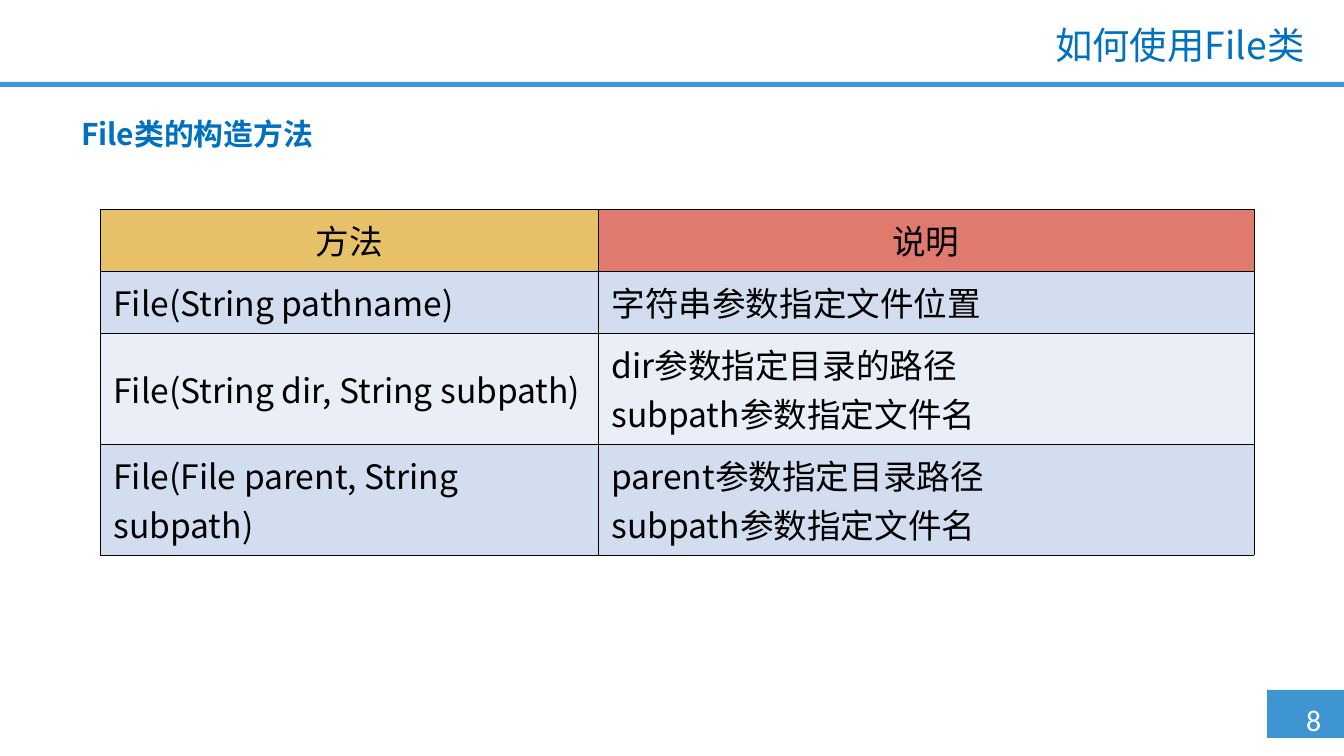
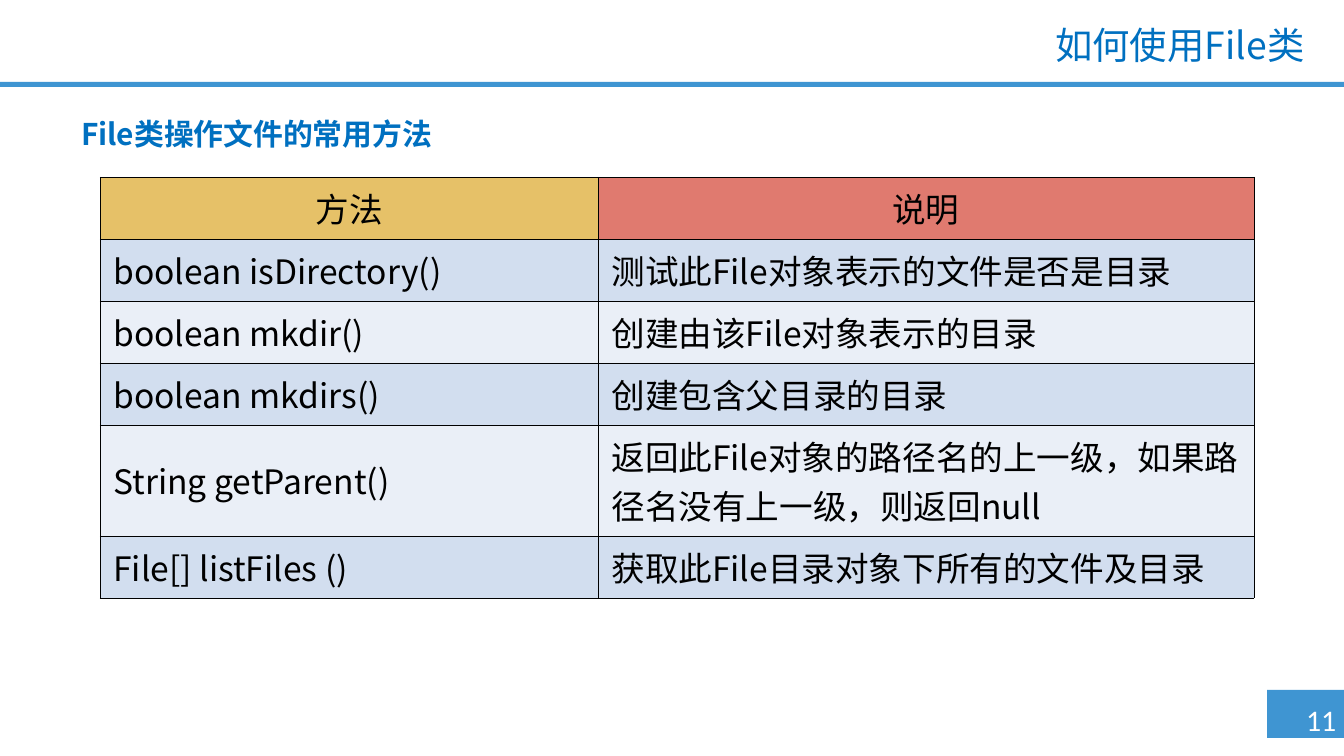
from lxml.etree import SubElement
from pptx import Presentation
from pptx.dml.color import RGBColor
from pptx.enum.shapes import MSO_SHAPE
from pptx.enum.text import MSO_ANCHOR, MSO_AUTO_SIZE, PP_ALIGN
from pptx.oxml.ns import qn
from pptx.util import Emu, Pt

EMU_PER_PX = 914400 / 134.4
WIDTH, HEIGHT = 1344, 756

WHITE = RGBColor(0xFF, 0xFF, 0xFF)
BLACK = RGBColor(0x00, 0x00, 0x00)
BAND_BLUE = RGBColor(0x3F, 0x95, 0xD2)
TITLE_BLUE = RGBColor(0x00, 0x70, 0xC0)
HEADER_FILLS = (RGBColor(0xE6, 0xC1, 0x68), RGBColor(0xE0, 0x7A, 0x6F))
ROW_FILLS = (RGBColor(0xD2, 0xDE, 0xEF), RGBColor(0xEA, 0xEF, 0xF7))

CJK_FONT = "Noto Sans CJK SC"
TITLE_RUNS = (("如何使用File", CJK_FONT), ("类", "Arial"))
HEADERS = ("方法", "说明")
COLUMN_WIDTHS = (498, 656)
ONE_LINE, TWO_LINES = 62, 111

TITLE_BOX = (323, 20, 995, 55)
RULE_BOX = (0, 82, WIDTH, 5)
HEADING_BOX = (68, 113, 1101, 52)
NUMBER_BOX = (1267, 690, 77, 48)
TABLE_LEFT = 100

SLIDES = (
    {
        "number": "8",
        "heading": "File类的构造方法",
        "table_top": 209,
        "rows": (
            ("File(String pathname)", ("字符串参数指定文件位置",), ONE_LINE),
            ("File(String dir, String subpath)",
             ("dir参数指定目录的路径", "subpath参数指定文件名"), TWO_LINES),
            ("File(File parent, String subpath)",
             ("parent参数指定目录路径", "subpath参数指定文件名"), TWO_LINES),
        ),
    },
    {
        "number": "11",
        "heading": "File类操作文件的常用方法",
        "table_top": 177,
        "rows": (
            ("boolean isDirectory()", ("测试此File对象表示的文件是否是目录",), ONE_LINE),
            ("boolean mkdir()", ("创建由该File对象表示的目录",), ONE_LINE),
            ("boolean mkdirs()", ("创建包含父目录的目录",), ONE_LINE),
            ("String getParent()",
             ("返回此File对象的路径名的上一级，如果路径名没有上一级，则返回null",), TWO_LINES),
            ("File[] listFiles ()", ("获取此File目录对象下所有的文件及目录",), ONE_LINE),
        ),
    },
)


def px(length):
    """Turn pixels into EMU."""
    return Emu(round(length * EMU_PER_PX))


def add_run(paragraph, text, size, color, font=CJK_FONT, bold=False):
    """Add one formatted run with Latin and East Asian fonts."""
    run = paragraph.add_run()
    run.text = text
    run.font.size = Pt(size)
    run.font.bold = bold
    run.font.color.rgb = color
    run.font.name = font
    east_asian = SubElement(run.font._element, qn("a:ea"))
    east_asian.set("typeface", CJK_FONT)


def add_block(slide, box):
    """Add a plain blue rectangle."""
    shape = slide.shapes.add_shape(MSO_SHAPE.RECTANGLE, *map(px, box))
    shape.shadow.inherit = False
    shape.fill.solid()
    shape.fill.fore_color.rgb = BAND_BLUE
    shape.line.fill.background()


def add_text_box(slide, box):
    """Add a wrapping text box and return its frame."""
    frame = slide.shapes.add_textbox(*map(px, box)).text_frame
    frame.word_wrap = True
    return frame


def add_page_number(slide, box, number):
    """Draw the corner block with the page number in it."""
    left, top, width, height = box
    add_block(slide, box)
    frame = add_text_box(slide, (left + 26, top + 5, width - 26, height + 2))
    frame.margin_right = 0
    add_run(frame.paragraphs[0], number, 16, WHITE, "Calibri")


def place_title(slide, box):
    """Move and fill the title placeholder."""
    title = slide.shapes.title
    title.left, title.top, title.width, title.height = map(px, box)
    frame = title.text_frame
    frame.auto_size = MSO_AUTO_SIZE.NONE
    frame.vertical_anchor = MSO_ANCHOR.MIDDLE
    paragraph = frame.paragraphs[0]
    paragraph.alignment = PP_ALIGN.RIGHT
    paragraph.line_spacing = 0.9
    for text, font in TITLE_RUNS:
        add_run(paragraph, text, 20, TITLE_BLUE, font)


def add_heading(slide, box, text):
    """Add the bold heading above the table."""
    paragraph = add_text_box(slide, box).paragraphs[0]
    paragraph.line_spacing = 0.9
    add_run(paragraph, text, 16, TITLE_BLUE, bold=True)


def add_borders(cell):
    """Give a cell thin black lines, placed ahead of its fill."""
    properties = cell._tc.get_or_add_tcPr()
    for index, side in enumerate(("a:lnL", "a:lnR", "a:lnT", "a:lnB")):
        line = SubElement(properties, qn(side), w=str(Pt(0.25)))
        fill = SubElement(line, qn("a:solidFill"))
        SubElement(fill, qn("a:srgbClr"), val=str(BLACK))
        properties.insert(index, line)


def fill_cell(cell, lines, color, alignment):
    """Write the lines of a cell and set its fill and borders."""
    cell.fill.solid()
    cell.fill.fore_color.rgb = color
    cell.vertical_anchor = MSO_ANCHOR.MIDDLE
    add_borders(cell)
    for index, text in enumerate(lines):
        frame = cell.text_frame
        paragraph = frame.add_paragraph() if index else frame.paragraphs[0]
        paragraph.alignment = alignment
        add_run(paragraph, text, 18, BLACK)


def add_method_table(slide, left, top, rows):
    """Add the table of methods and their descriptions."""
    height = ONE_LINE + sum(row_height for *_, row_height in rows)
    table = slide.shapes.add_table(
        len(rows) + 1, len(HEADERS),
        px(left), px(top), px(sum(COLUMN_WIDTHS)), px(height)).table
    for column, width in zip(table.columns, COLUMN_WIDTHS):
        column.width = px(width)
    table.rows[0].height = px(ONE_LINE)
    for index, (header, color) in enumerate(zip(HEADERS, HEADER_FILLS)):
        fill_cell(table.cell(0, index), (header,), color, PP_ALIGN.CENTER)
    for index, (method, description, row_height) in enumerate(rows, 1):
        table.rows[index].height = px(row_height)
        color = ROW_FILLS[(index - 1) % 2]
        fill_cell(table.cell(index, 0), (method,), color, PP_ALIGN.LEFT)
        fill_cell(table.cell(index, 1), description, color, PP_ALIGN.LEFT)


def add_method_slide(presentation, number, heading, table_top, rows):
    """Build one slide with title, heading and method table."""
    slide = presentation.slides.add_slide(presentation.slide_layouts[5])
    add_block(slide, RULE_BOX)
    add_page_number(slide, NUMBER_BOX, number)
    place_title(slide, TITLE_BOX)
    add_method_table(slide, TABLE_LEFT, table_top, rows)
    add_heading(slide, HEADING_BOX, heading)


def main():
    """Build and save the presentation."""
    presentation = Presentation()
    presentation.slide_width = px(WIDTH)
    presentation.slide_height = px(HEIGHT)
    for content in SLIDES:
        add_method_slide(presentation, **content)
    presentation.save("out.pptx")


if __name__ == "__main__":
    main()
